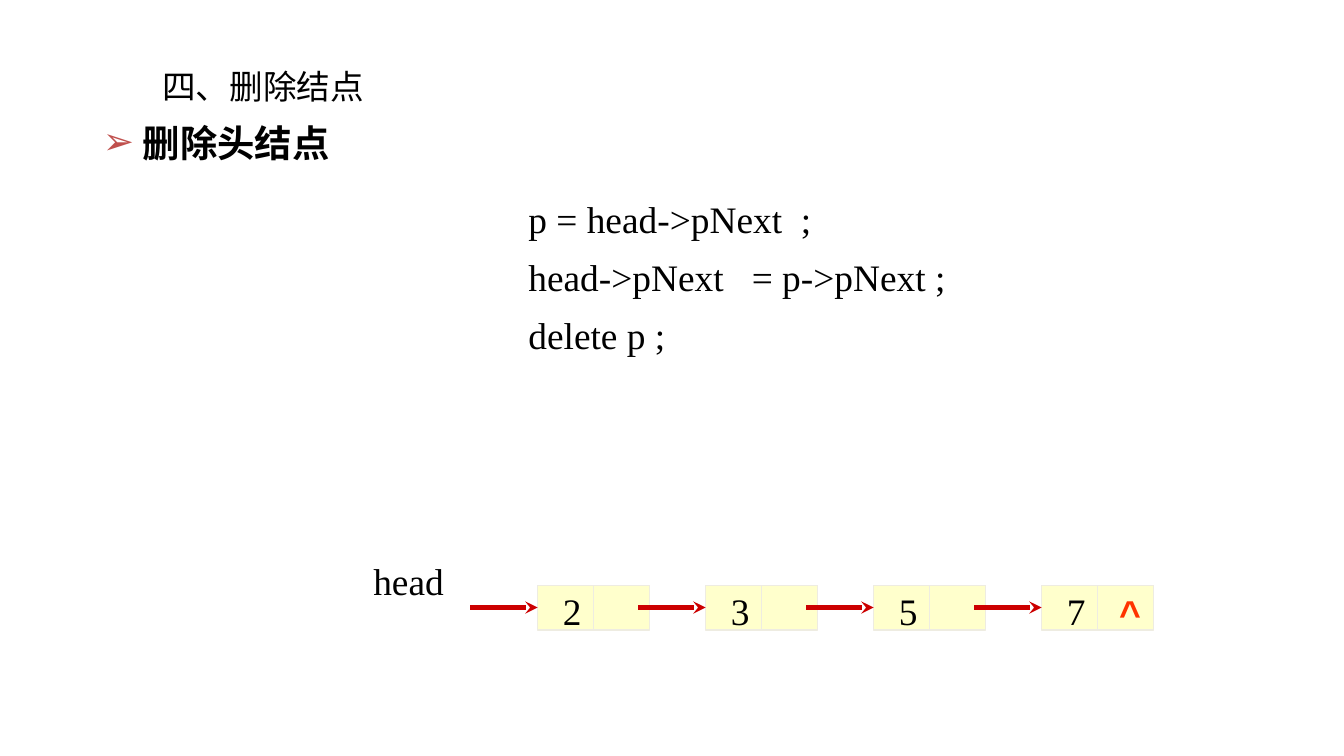
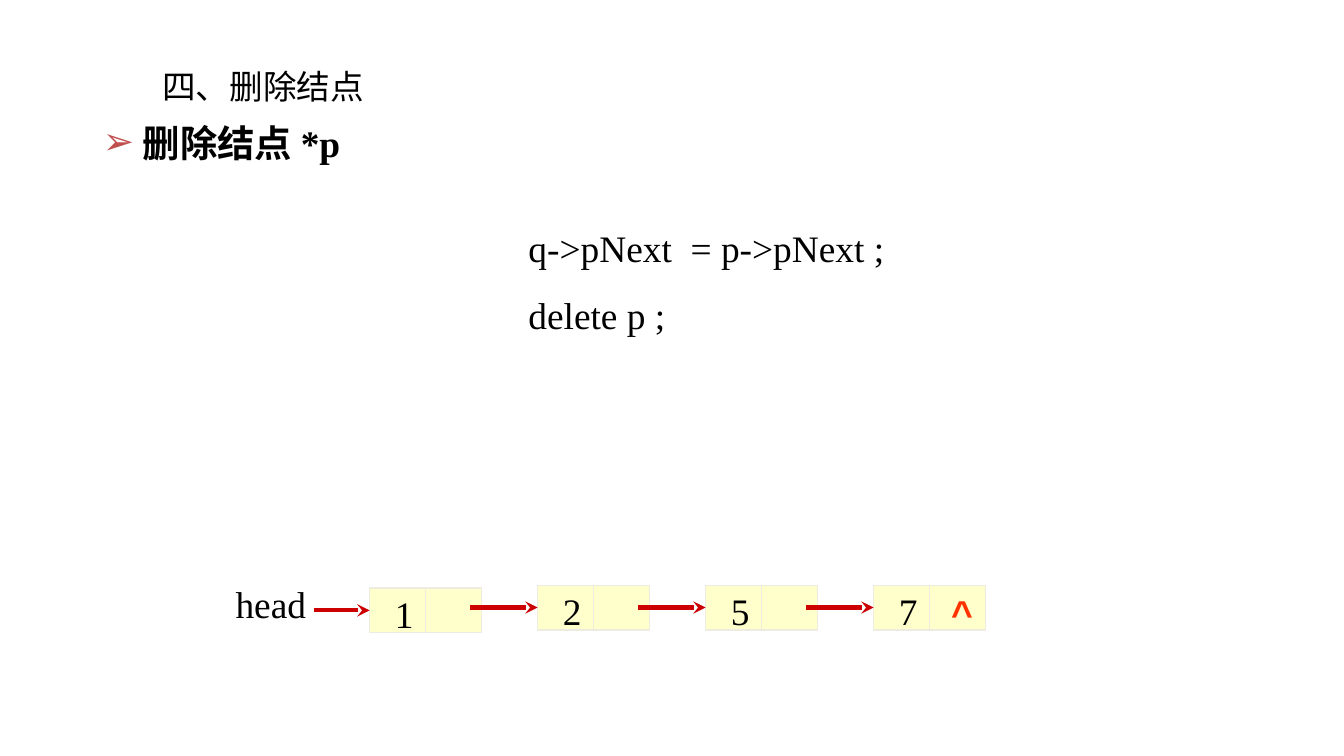
"""Build two slides on deleting nodes from a linked list."""
import dataclasses

import lxml.etree
import pptx
import pptx.dml.color
import pptx.enum.shapes
import pptx.enum.text
import pptx.oxml.ns
import pptx.util


@dataclasses.dataclass(frozen=True)
class Theme:
    ink: str = "000000"
    bullet: str = "C0504D"
    node: str = "FFFFCC"
    edge: str = "EEECE1"
    arrow: str = "CC0000"
    null: str = "FF3300"
    title_font: str = "Calibri"
    body_font: str = "Times New Roman"
    null_font: str = "Arial"
    title_size: int = 18
    body_size: int = 20
    edge_width: float = 0.75
    arrow_width: float = 2.25


theme = Theme()
rgb = pptx.dml.color.RGBColor.from_string
qn = pptx.oxml.ns.qn
anchors = pptx.enum.text.MSO_ANCHOR
aligns = pptx.enum.text.PP_ALIGN
deck = pptx.Presentation()
deck.slide_width = pptx.util.Inches(10)
deck.slide_height = deck.slide_width * 9 // 16
unit = deck.slide_width / 120


def write(holder, text, at, size=theme.body_size, font=theme.body_font, color=theme.ink,
          bold=False, align=aligns.LEFT, anchor=anchors.MIDDLE, wrap=False,
          spacing=None, indent=0, bullet=None):
    """Put formatted text at a grid place in a shape or in a new text box."""
    place = [round(value * unit) for value in at]
    if hasattr(holder, "add_textbox"):
        holder = holder.add_textbox(*place)
    holder.left, holder.top, holder.width, holder.height = place
    frame = holder.text_frame
    frame.text = text
    frame.word_wrap = wrap
    frame.vertical_anchor = anchor
    frame.auto_size = pptx.enum.text.MSO_AUTO_SIZE.NONE
    for paragraph in frame.paragraphs:
        paragraph.alignment = align
        paragraph.line_spacing = spacing
        properties = paragraph._p.get_or_add_pPr()
        properties.set("indent", str(round(indent * unit)))
        if bullet:
            tint = lxml.etree.SubElement(properties, qn("a:buClr"))
            lxml.etree.SubElement(tint, qn("a:srgbClr"), val=theme.bullet)
            lxml.etree.SubElement(properties, qn("a:buFont"), typeface=theme.null_font)
            lxml.etree.SubElement(properties, qn("a:buChar"), char=bullet)
        for run in paragraph.runs:
            run.font.size = pptx.util.Pt(size)
            run.font.name = font
            run.font.bold = bold
            run.font.color.rgb = rgb(color)


def link(shapes, start, end, color, width, head=None):
    """Draw a straight line between two grid points, with an optional arrowhead."""
    points = [round(value * unit) for value in (*start, *end)]
    line = shapes.add_connector(pptx.enum.shapes.MSO_CONNECTOR.STRAIGHT, *points)
    line.line.color.rgb = rgb(color)
    line.line.width = pptx.util.Pt(width)
    if head:
        lxml.etree.SubElement(line.line._get_or_add_ln(), qn("a:tailEnd"), type=head)
    lxml.etree.SubElement(line._element.spPr, qn("a:effectLst"))


node_width, node_height, node_pitch, node_top = 10, 4, 15, 52.25
lessons = [
    dict(heading=" 删除头结点",
         code="p = head->pNext  ;\nhead->pNext   = p->pNext ;\ndelete p ;",
         code_at=(46, 15.86, 40.8, 16.44), code_spacing=1.3,
         values="2357", first_left=48, first_drop=0, first_arrow=6,
         head_at=(32.15, 49.28, 10.2, 5.2)),
    dict(heading=" 删除结点 *p",
         code="q->pNext  = p->pNext ;\ndelete p ;",
         code_at=(46, 17.76, 35.3, 12.6), code_spacing=1.5,
         values="1257", first_left=33, first_drop=0.25, first_arrow=5,
         head_at=(19.85, 51.3, 12.8, 5.2)),
]

for lesson in lessons:
    slide = deck.slides.add_slide(deck.slide_layouts[5])
    write(slide.shapes.title, "四、删除结点", at=(12.5, 5.3, 35.4, 5.2), size=theme.title_size,
          font=theme.title_font, anchor=anchors.TOP, wrap=True, indent=0.8)
    write(slide.shapes, lesson["heading"], at=(8, 8.5, 105, 6.8), bold=True,
          anchor=anchors.TOP, wrap=True, spacing=1.4, bullet="➢")
    write(slide.shapes, lesson["code"], at=lesson["code_at"], spacing=lesson["code_spacing"])
    write(slide.shapes, "head", at=lesson["head_at"], wrap=True)

    for index, value in enumerate(lesson["values"]):
        left = lesson["first_left"] + index * node_pitch
        top = node_top + (0 if index else lesson["first_drop"])
        length = 6 if index else lesson["first_arrow"]
        middle = top + node_height / 2
        divider = left + node_width / 2

        node = slide.shapes.add_group_shape().shapes
        cell = node.add_shape(pptx.enum.shapes.MSO_SHAPE.RECTANGLE,
                              *[round(n * unit) for n in (left, top, node_width, node_height)])
        cell.shadow.inherit = False
        cell.fill.solid()
        cell.fill.fore_color.rgb = rgb(theme.node)
        cell.line.color.rgb = rgb(theme.edge)
        cell.line.width = pptx.util.Pt(theme.edge_width)
        link(node, (divider, top), (divider, top + node_height), theme.edge, theme.edge_width)
        write(node, value, at=(left + 1.05, top - 0.36, 4.1, 5.2), align=aligns.CENTER)
        if index == len(lesson["values"]) - 1:
            write(node, "^", at=(left + 5.76, top - 0.12, 4.3, 5.2), font=theme.null_font,
                  color=theme.null, bold=True, align=aligns.CENTER)
        link(slide.shapes, (left - length, middle), (left, middle), theme.arrow,
             theme.arrow_width, head="stealth")

deck.save("out.pptx")
